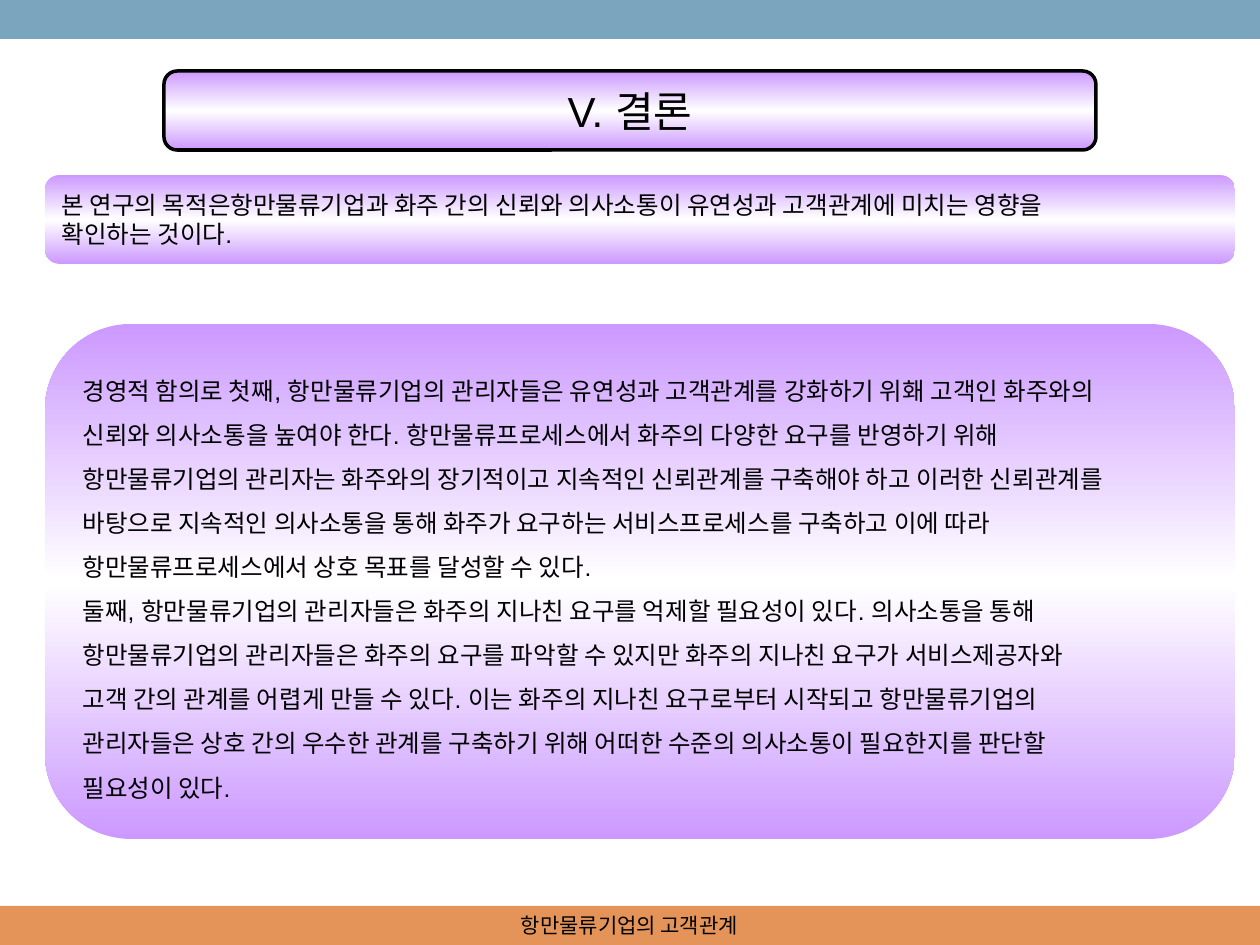
import copy

import pptx
import pptx.dml.color
import pptx.enum.shapes
import pptx.enum.text
import pptx.util

SCALE = 914400 // 126
WIDTH, HEIGHT, BAND = 1260, 945, 39
COLORS = {"top": "7BA5BE", "foot": "E49458", "lilac": "CC99FF",
          "white": "FFFFFF", "black": "000000"}
SHAPES = pptx.enum.shapes.MSO_SHAPE
ALIGN = pptx.enum.text.PP_ALIGN

AIM = [
    "본 연구의 목적은항만물류기업과 화주 간의 신뢰와 의사소통이 유연성과 고객관계에 미치는 영향을",
    "확인하는 것이다.",
]
BODY = [
    "경영적 함의로 첫째, 항만물류기업의 관리자들은 유연성과 고객관계를 강화하기 위홰 고객인 화주와의",
    "신뢰와 의사소통을 높여야 한다. 항만물류프로세스에서 화주의 다양한 요구를 반영하기 위해",
    "항만물류기업의 관리자는 화주와의 장기적이고 지속적인 신뢰관계를 구축해야 하고 이러한 신뢰관계를",
    "바탕으로 지속적인 의사소통을 통해 화주가 요구하는 서비스프로세스를 구축하고 이에 따라",
    "항만물류프로세스에서 상호 목표를 달성할 수 있다.",
    "둘째, 항만물류기업의 관리자들은 화주의 지나친 요구를 억제할 필요성이 있다. 의사소통을 통해",
    "항만물류기업의 관리자들은 화주의 요구를 파악할 수 있지만 화주의 지나친 요구가 서비스제공자와",
    "고객 간의 관계를 어렵게 만들 수 있다. 이는 화주의 지나친 요구로부터 시작되고 항만물류기업의",
    "관리자들은 상호 간의 우수한 관계를 구축하기 위해 어떠한 수준의 의사소통이 필요한지를 판단할",
    "필요성이 있다.",
]


def px(*vals):
    return [pptx.util.Emu(val * SCALE) for val in vals]


def tint(name):
    return pptx.dml.color.RGBColor.from_string(COLORS[name])


def write(shape, lines, size, font="Arial", align=ALIGN.LEFT, space=None, wrap=False):
    frame = shape.text_frame
    frame.word_wrap = wrap
    frame.vertical_anchor = pptx.enum.text.MSO_ANCHOR.MIDDLE
    frame.text = "\n".join(lines)
    for para in frame.paragraphs:
        para.alignment = align
        para.line_spacing = space
        para.font.size = pptx.util.Pt(size)
        para.font.name = font
        para.font.color.rgb = tint("black")


def add_band(slide, top, color):
    band = slide.shapes.add_shape(SHAPES.RECTANGLE, *px(0, top, WIDTH, BAND))
    band.shadow.inherit = False
    band.fill.solid()
    band.fill.fore_color.rgb = tint(color)
    band.line.fill.background()


def blend(fill):
    fill.gradient()
    fill.gradient_angle = 90
    stops = fill._fill._gradFill.gsLst
    stops.append(copy.deepcopy(stops[-1]))
    for stop, (pos, color) in zip(fill.gradient_stops,
                                  [(0, "lilac"), (0.5, "white"), (1, "lilac")]):
        stop.position = pos
        stop.color.rgb = tint(color)


def add_panel(slide, box):
    panel = slide.shapes.add_shape(SHAPES.ROUNDED_RECTANGLE, *px(*box))
    panel.shadow.inherit = False
    panel.adjustments[0] = 0.167
    blend(panel.fill)
    panel.line.fill.background()
    return panel


def add_title(slide):
    title = add_panel(slide, (164, 71, 932, 79))
    title.line.color.rgb = tint("black")
    title.line.width = pptx.util.Pt(2)
    write(title, ["V. 결론"], 24, align=ALIGN.CENTER)
    props = title.text_frame.paragraphs[0]._p.get_or_add_pPr()
    indent = px(48)[0]
    props.set("marL", str(indent))
    props.set("indent", str(-indent))


def main():
    """Build the conclusion slide."""
    deck = pptx.Presentation()
    deck.slide_width, deck.slide_height = px(WIDTH, HEIGHT)
    slide = deck.slides.add_slide(deck.slide_layouts[6])
    foot = HEIGHT - BAND
    add_band(slide, foot, "foot")
    add_band(slide, 0, "top")
    label = slide.shapes.add_textbox(*px(430, foot, 399, BAND))
    write(label, ["항만물류기업의 고객관계"], 12, "Cambria", ALIGN.CENTER, wrap=True)
    add_title(slide)
    write(add_panel(slide, (45, 175, 1190, 89)), AIM, 14)
    write(add_panel(slide, (45, 324, 1190, 515)), BODY, 14, space=1.5)
    deck.save("out.pptx")


main()
